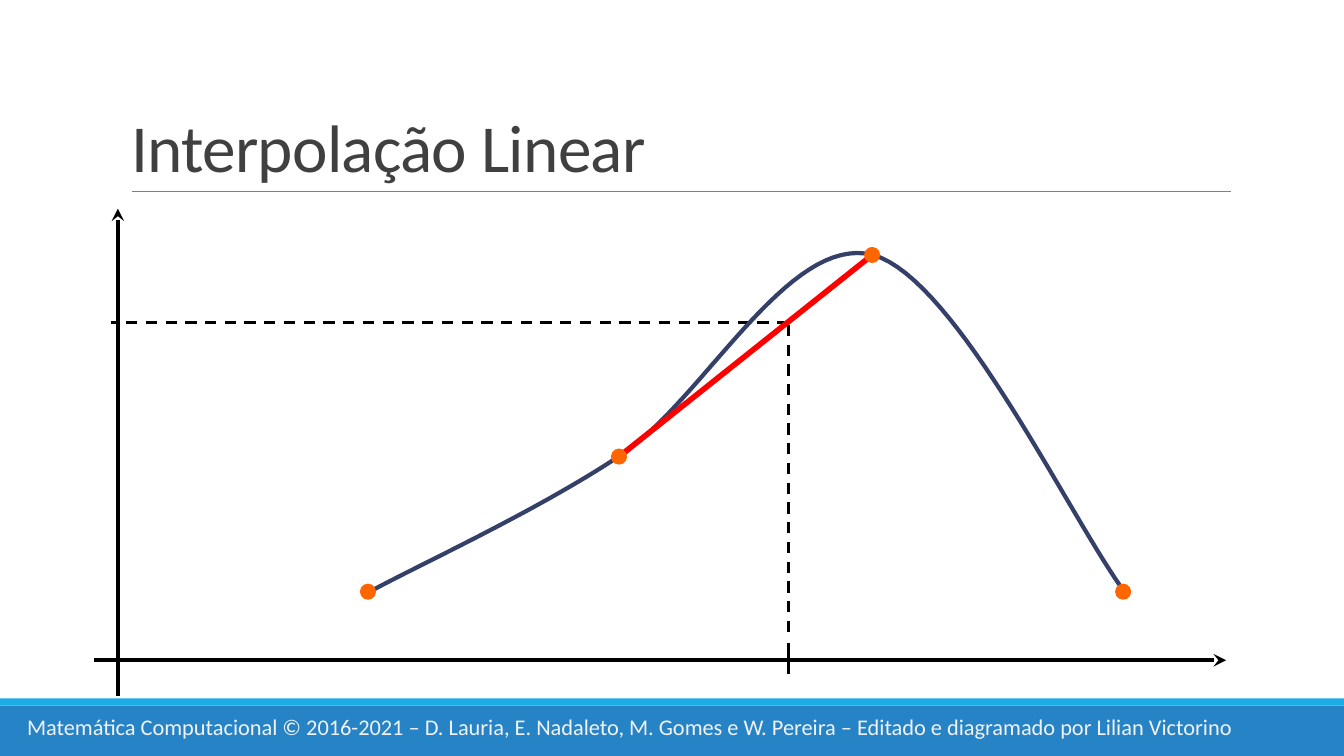
from lxml import etree
from pptx import Presentation
from pptx.dml.color import RGBColor
from pptx.enum.dml import MSO_LINE
from pptx.enum.shapes import MSO_CONNECTOR, MSO_SHAPE
from pptx.enum.text import MSO_ANCHOR, MSO_AUTO_SIZE, PP_ALIGN
from pptx.oxml.ns import qn
from pptx.util import Inches, Pt

COLORS = {
    "band": "2683C6",
    "stripe": "1CADE4",
    "rule": "808080",
    "footer": "F2F2F2",
    "title": "404040",
    "axis": "000000",
    "curve": "344068",
    "chord": "FF0000",
    "node": "FF6600",
}
FOOTER = (
    "Matemática Computacional © 2016-2021 – D. Lauria, E. Nadaleto, M. Gomes "
    "e W. Pereira – Editado e diagramado por Lilian Victorino"
)
NODES = [(3.65, 5.87), (6.14, 4.53), (8.65, 2.53), (11.14, 5.87)]
NODE_SIZE = 0.16
CURVE = [
    [(3.65, 5.88), (4.06, 5.65), (5.31, 5.08), (6.15, 4.52)],
    [(6.15, 4.52), (6.98, 3.97), (7.82, 2.31), (8.66, 2.53)],
    [(8.66, 2.53), (9.49, 2.76), (10.64, 5.19), (11.16, 5.88)],
]
CURVE_STEPS = 32
X_INTERP = 7.82
Y_INTERP = 3.2


def rgb(name):
    return RGBColor.from_string(COLORS[name])


def apply_format(target, values):
    for attribute, value in values.items():
        setattr(target, attribute, value)


def add_filled(slide, preset, left, top, width, height, color):
    filled = slide.shapes.add_shape(
        preset, Inches(left), Inches(top), Inches(width), Inches(height)
    )
    filled.shadow.inherit = False
    filled.fill.solid()
    filled.fill.fore_color.rgb = rgb(color)
    filled.line.fill.background()


def add_segment(slide, start, end, color, width, dashed=False, arrow=False):
    segment = slide.shapes.add_connector(
        MSO_CONNECTOR.STRAIGHT, *(Inches(value) for value in (*start, *end))
    )
    segment.line.color.rgb = rgb(color)
    segment.line.width = Pt(width)
    if dashed:
        segment.line.dash_style = MSO_LINE.DASH
    if arrow:
        etree.SubElement(segment.line._get_or_add_ln(), qn("a:tailEnd"), type="stealth")
    etree.SubElement(segment._element.spPr, qn("a:effectLst"))


def bezier_point(controls, t):
    weights = ((1 - t) ** 3, 3 * t * (1 - t) ** 2, 3 * t**2 * (1 - t), t**3)
    return tuple(
        Inches(sum(weight * value for weight, value in zip(weights, axis)))
        for axis in zip(*controls)
    )


def add_curve(slide):
    points = [
        bezier_point(controls, step / CURVE_STEPS)
        for controls in CURVE
        for step in range(1, CURVE_STEPS + 1)
    ]
    builder = slide.shapes.build_freeform(*bezier_point(CURVE[0], 0))
    builder.add_line_segments(points, close=False)
    curve = builder.convert_to_shape()
    curve.shadow.inherit = False
    curve.fill.background()
    curve.line.color.rgb = rgb("curve")
    curve.line.width = Pt(3)


def write_text(holder, text, size, color, frame_format, paragraph_format):
    frame = holder.text_frame
    apply_format(frame, frame_format)
    paragraph = frame.paragraphs[0]
    apply_format(paragraph, paragraph_format)
    run = paragraph.add_run()
    run.text = text
    apply_format(run.font, {"name": "Calibri", "size": Pt(size)})
    run.font.color.rgb = rgb(color)
    return run


def add_title(slide):
    title = slide.shapes.title
    apply_format(title, {
        "left": Inches(1.2), "top": Inches(0.31),
        "width": Inches(11), "height": Inches(1.59),
    })
    run = write_text(
        title, "Interpolação Linear", 48, "title",
        {"vertical_anchor": MSO_ANCHOR.BOTTOM, "auto_size": MSO_AUTO_SIZE.NONE,
         "word_wrap": True},
        {"alignment": PP_ALIGN.LEFT, "line_spacing": 0.85},
    )
    run.font._element.set("spc", "-50")


def add_footer(slide):
    add_filled(slide, MSO_SHAPE.RECTANGLE, 0, 7, 13.33, 0.5, "band")
    add_filled(slide, MSO_SHAPE.RECTANGLE, 0, 6.93, 13.33, 0.07, "stripe")
    credits_box = slide.shapes.add_textbox(
        Inches(0.17), Inches(7.03), Inches(12.81), Inches(0.37)
    )
    write_text(
        credits_box, FOOTER, 16, "footer",
        {"word_wrap": True}, {"alignment": PP_ALIGN.LEFT},
    )


def add_graph(slide):
    add_segment(slide, (X_INTERP, Y_INTERP), (1.1, Y_INTERP), "axis", 2, dashed=True)
    add_curve(slide)
    add_segment(slide, (X_INTERP, 6.38), (X_INTERP, 6.69), "axis", 2)
    add_segment(slide, NODES[1], NODES[2], "chord", 4)
    add_segment(slide, (X_INTERP, 6.27), (X_INTERP, 3.22), "axis", 2, dashed=True)
    for x, y in NODES:
        add_filled(
            slide, MSO_SHAPE.OVAL, x - NODE_SIZE / 2, y - NODE_SIZE / 2,
            NODE_SIZE, NODE_SIZE, "node",
        )
    add_segment(slide, (0.93, 6.55), (12.16, 6.55), "axis", 3, arrow=True)
    add_segment(slide, (1.17, 6.9), (1.17, 2.07), "axis", 3, arrow=True)


def main():
    presentation = Presentation()
    presentation.slide_width = Inches(13.33)
    presentation.slide_height = Inches(7.5)
    slide = presentation.slides.add_slide(presentation.slide_layouts[5])
    add_footer(slide)
    add_segment(slide, (1.31, 1.9), (12.21, 1.9), "rule", 0.5)
    add_graph(slide)
    add_title(slide)
    presentation.save("out.pptx")


if __name__ == "__main__":
    main()
